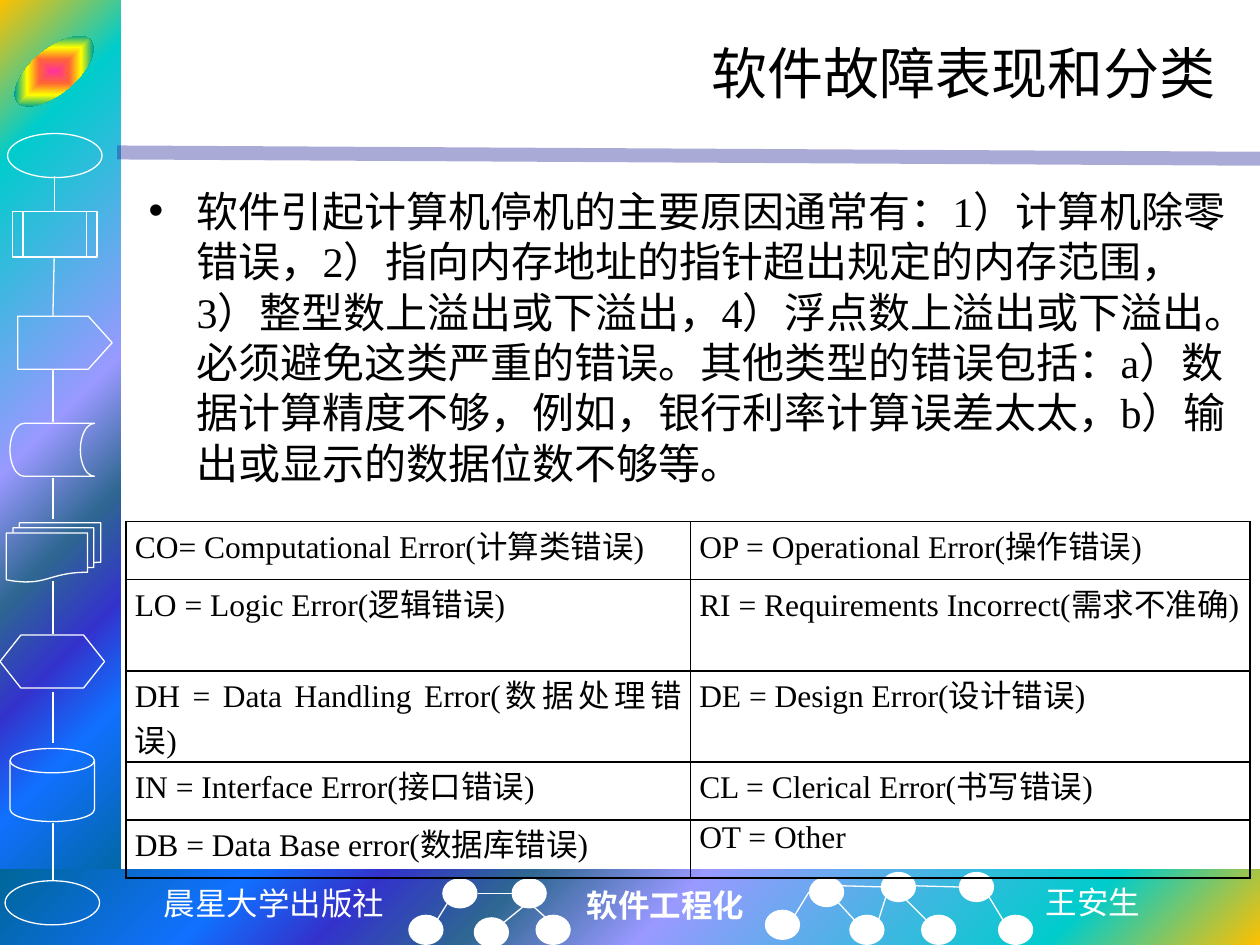
from lxml.etree import SubElement
from pptx import Presentation
from pptx.dml.color import RGBColor
from pptx.enum.shapes import MSO_CONNECTOR, MSO_SHAPE
from pptx.enum.text import MSO_ANCHOR, MSO_AUTO_SIZE, PP_ALIGN
from pptx.oxml import parse_xml
from pptx.oxml.ns import nsdecls, qn
from pptx.util import Inches, Pt

COLORS = {"text": "000000", "white": "FFFFFF", "rule": "262699"}
RAINBOW = [(0, "FFC000"), (16, "00CCCC"), (47, "9999FF"), (60, "2E6792"),
           (71, "3333CC"), (81, "1170FF"), (100, "006699")]
EMBLEM = [(0, "FF3399"), (25, "FF6633"), (50, "FFFF00"), (75, "01A78F"), (100, "3366FF")]
LATIN, CJK, MONO = "Times New Roman", "Noto Sans CJK SC", "DejaVu Sans Mono"

TITLE = "软件故障表现和分类"
BODY = ("软件引起计算机停机的主要原因通常有：1）计算机除零错误，2）指向内存地址的指针超出规定的内存范围，"
        "3）整型数上溢出或下溢出，4）浮点数上溢出或下溢出。必须避免这类严重的错误。其他类型的错误包括："
        "a）数据计算精度不够，例如，银行利率计算误差太太，b）输出或显示的数据位数不够等。")
ERRORS = [
    ("CO= Computational Error(计算类错误)", "OP = Operational Error(操作错误)"),
    ("LO = Logic Error(逻辑错误)", "RI = Requirements Incorrect(需求不准确)"),
    ("DH = Data Handling Error(数据处理错误)", "DE = Design Error(设计错误)"),
    ("IN = Interface Error(接口错误)", "CL = Clerical Error(书写错误)"),
    ("DB = Data Base error(数据库错误)", "OT = Other"),
]
# Flowchart symbols down the side: shape, left, top, width, height
SYMBOLS = [
    (MSO_SHAPE.OVAL, 0.06, 1.06, 0.75, 0.35),
    (MSO_SHAPE.FLOWCHART_PREDEFINED_PROCESS, 0.1, 1.68, 0.67, 0.36),
    (MSO_SHAPE.PENTAGON, 0.14, 2.51, 0.75, 0.42),
    (MSO_SHAPE.FLOWCHART_STORED_DATA, 0.08, 3.36, 0.67, 0.42),
    (MSO_SHAPE.FLOWCHART_MULTIDOCUMENT, 0.05, 4.15, 0.75, 0.47),
    (MSO_SHAPE.FLOWCHART_PREPARATION, 0, 5.04, 0.83, 0.42),
    (MSO_SHAPE.FLOWCHART_MAGNETIC_DISK, 0.08, 5.94, 0.67, 0.58),
    (MSO_SHAPE.OVAL, 0.04, 6.99, 0.75, 0.35),
]
FLOW_LINES = [
    (0.43, 1.4, 0.43, 1.68), (0.43, 2.05, 0.42, 2.51), (0.42, 2.93, 0.42, 3.35),
    (0.42, 3.79, 0.42, 4.12), (0.42, 4.61, 0.42, 5.03), (0.42, 5.49, 0.42, 5.9),
    (0.42, 6.53, 0.42, 6.99),
]
# Node graphs in the footer
NODES = [
    (3.51, 6.97), (3.24, 7.26), (3.76, 7.28), (4.06, 6.97), (4.25, 7.26),
    (6.07, 7.22), (6.42, 6.96), (6.74, 7.26), (6.99, 6.92), (7.31, 7.26),
    (7.61, 6.92), (7.92, 7.26),
]
NODE_LINES = [
    (3.47, 7.3, 3.55, 7.17), (4, 7.32, 4.16, 7.19), (4.06, 7.09, 3.79, 7.09),
    (4.34, 7.29, 4.24, 7.2), (6.31, 7.26, 6.42, 7.08), (6.78, 7.3, 6.65, 7.16),
    (6.68, 7.03, 7.03, 7.04), (6.97, 7.31, 7.03, 7.12), (7.35, 7.3, 7.15, 7.1),
    (7.26, 7.03, 7.61, 7.04), (7.96, 7.3, 7.85, 7.12),
]


def rgb(name):
    return RGBColor.from_string(COLORS[name])


def place(sp, left, top, width, height):
    sp.left, sp.top = Inches(left), Inches(top)
    sp.width, sp.height = Inches(width), Inches(height)


def format_text(p, size, color="text", font=LATIN, bold=False, align=None):
    p.alignment = align
    for r in p.runs:
        r.font.size, r.font.name, r.font.bold = Pt(size), font, bold
        r.font.color.rgb = rgb(color)
        r.font._element.find(qn("a:latin")).addnext(
            parse_xml(f'<a:ea {nsdecls("a")} typeface="{CJK}"/>'))


def add_shape(slide, kind, box, fill=None, line=None):
    sp = slide.shapes.add_shape(kind, *map(Inches, box))
    sp.shadow.inherit = False
    if fill:
        sp.fill.solid()
        sp.fill.fore_color.rgb = rgb(fill)
    else:
        sp.fill.background()
    if line:
        sp.line.color.rgb = rgb(line)
        sp.line.width = Pt(0.75)
    else:
        sp.line.fill.background()
    return sp


def set_gradient(sp, stops, kind, focus):
    gs = "".join(f'<a:gs pos="{pos * 1000}"><a:srgbClr val="{color}"/></a:gs>'
                 for pos, color in stops)
    rect = " ".join(f'{side}="{value * 1000}"' for side, value in zip("ltrb", focus))
    grad = parse_xml(f'<a:gradFill {nsdecls("a")} rotWithShape="1"><a:gsLst>{gs}</a:gsLst>'
                     f'<a:path path="{kind}"><a:fillToRect {rect}/></a:path></a:gradFill>')
    no_fill = sp._element.spPr.find(qn("a:noFill"))
    no_fill.getparent().replace(no_fill, grad)


def add_line(slide, ends, color="white", width=0.75, opacity=None):
    line = slide.shapes.add_connector(MSO_CONNECTOR.STRAIGHT, *map(Inches, ends))
    line.line.color.rgb = rgb(color)
    line.line.width = Pt(width)
    spPr = line._element.spPr
    if opacity:
        clr = spPr.find(".//" + qn("a:srgbClr"))
        SubElement(clr, qn("a:alpha")).set("val", str(opacity * 1000))
    SubElement(spPr, qn("a:effectLst"))


def add_label(slide, text, box, **style):
    tf = slide.shapes.add_textbox(*map(Inches, box)).text_frame
    tf.word_wrap = False
    tf.text = text
    format_text(tf.paragraphs[0], 18, "white", **style)


def add_background(slide):
    for box, focus in (((0, 0, 0.96, 7.09), (0, 0, 100, 100)),
                       ((0, 6.9, 10, 0.6), (100, 100, 0, 0))):
        set_gradient(add_shape(slide, MSO_SHAPE.RECTANGLE, box), RAINBOW, "circle", focus)
    add_line(slide, (0.93, 1.21, 10, 1.26), "rule", 8, 39)
    emblem = add_shape(slide, MSO_SHAPE.OVAL, (0.05, 0.39, 0.76, 0.35))
    emblem.rotation = -40
    set_gradient(emblem, EMBLEM, "shape", (50, 50, 50, 50))


def add_diagrams(slide):
    for kind, *box in SYMBOLS:
        sp = add_shape(slide, kind, box, line="white")
        if kind == MSO_SHAPE.PENTAGON:
            sp.adjustments[0] = 0.45
    for left, top in NODES:
        add_shape(slide, MSO_SHAPE.OVAL, (left, top, 0.28, 0.24), fill="white")
    for ends in FLOW_LINES + NODE_LINES:
        add_line(slide, ends)


def fill_placeholders(slide):
    title, body = slide.shapes.title, slide.placeholders[1]
    for sp, text, box in ((title, TITLE, (1.25, 0.17, 8.5, 0.81)),
                          (body, BODY, (1.08, 1.42, 8.75, 2.72))):
        place(sp, *box)
        sp.text_frame.text = text
        sp.text_frame.auto_size = MSO_AUTO_SIZE.NONE
        slide.shapes._spTree.append(sp._element)
    title.text_frame.vertical_anchor = MSO_ANCHOR.MIDDLE
    format_text(title.text_frame.paragraphs[0], 32, align=PP_ALIGN.RIGHT)
    p = body.text_frame.paragraphs[0]
    format_text(p, 24, align=PP_ALIGN.LEFT)
    p.space_before = Pt(4.8)
    pPr = p._p.get_or_add_pPr()
    pPr.set("marL", str(Inches(0.38)))
    pPr.set("indent", str(Inches(-0.38)))
    SubElement(pPr, qn("a:buChar")).set("char", "•")


def set_borders(cell):
    tcPr = cell._tc.get_or_add_tcPr()
    for i, side in enumerate("LRTB"):
        tcPr.insert(i, parse_xml(
            f'<a:ln{side} {nsdecls("a")} w="{Pt(1)}"><a:solidFill>'
            f'<a:srgbClr val="{COLORS["text"]}"/></a:solidFill></a:ln{side}>'))


def add_error_table(slide):
    box = map(Inches, (1, 4.14, 8.92, 2.58))
    table = slide.shapes.add_table(len(ERRORS), 2, *box).table
    table.first_row = table.horz_banding = False
    for col, width in zip(table.columns, (4.48, 4.44)):
        col.width = Inches(width)
    for row, height, texts in zip(table.rows, (0.46, 0.6, 0.6, 0.46, 0.46), ERRORS):
        row.height = Inches(height)
        for cell, text in zip(row.cells, texts):
            cell.text = text
            cell.fill.background()
            cell.margin_left = cell.margin_right = Inches(0.07)
            cell.margin_top = cell.margin_bottom = 0
            format_text(cell.text_frame.paragraphs[0], 18, align=PP_ALIGN.JUSTIFY)
            set_borders(cell)


def main():
    prs = Presentation()
    prs.slide_width, prs.slide_height = Inches(10), Inches(7.5)
    slide = prs.slides.add_slide(prs.slide_layouts[1])
    # Decoration and footer
    add_background(slide)
    add_diagrams(slide)
    add_label(slide, "晨星大学出版社", (1.19, 6.97, 1.97, 0.4), font=MONO, align=PP_ALIGN.CENTER)
    add_label(slide, "软件工程化", (4.56, 6.98, 1.46, 0.4), bold=True)
    add_label(slide, "王安生", (8.2, 6.96, 0.96, 0.4), font=CJK)
    # Content
    fill_placeholders(slide)
    add_error_table(slide)
    prs.save("out.pptx")


main()
